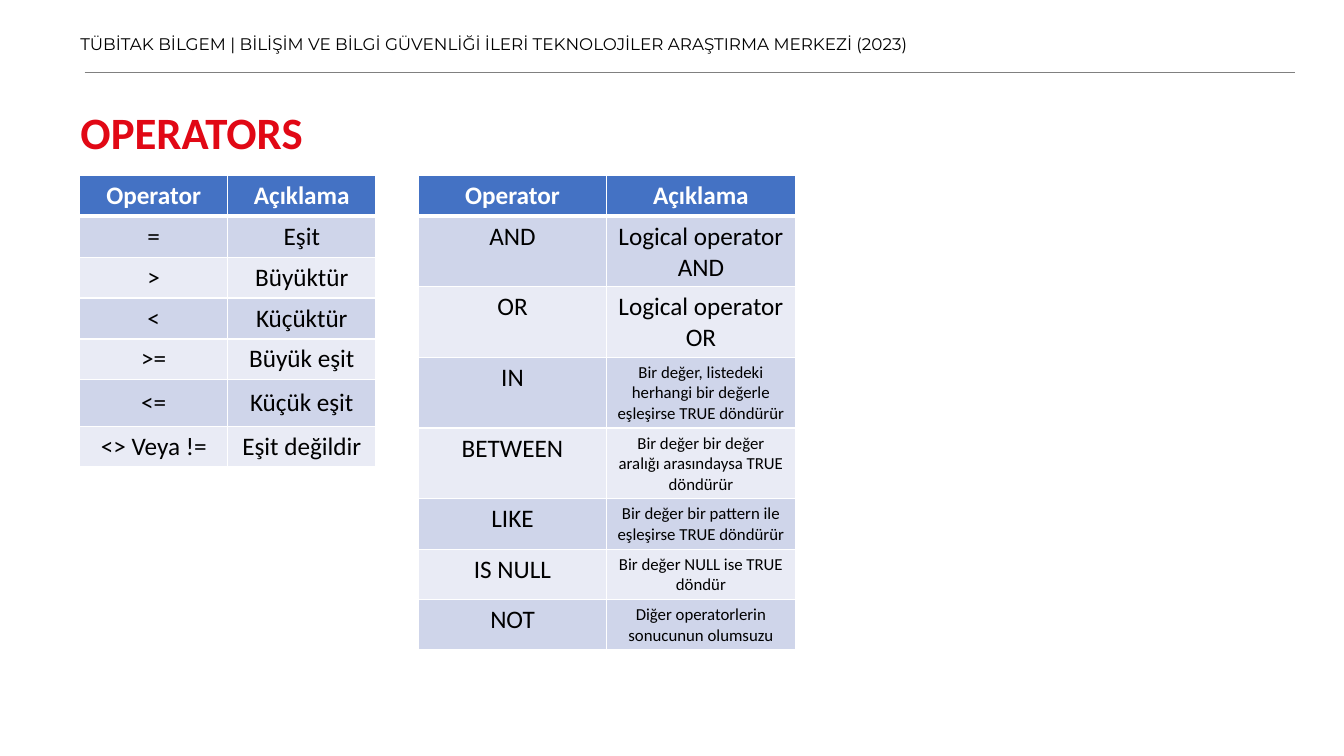
from lxml.etree import SubElement
from pptx import Presentation
from pptx.dml.color import RGBColor
from pptx.enum.shapes import MSO_CONNECTOR
from pptx.enum.text import MSO_AUTO_SIZE, PP_ALIGN
from pptx.oxml.ns import qn
from pptx.util import Pt

COLORS = {
    "text": "000000", "title": "E10815", "rule": "808080", "white": "FFFFFF",
    "header": "4472C4", "odd row": "CFD5EA", "even row": "E9EBF5",
}
TABLE_TOP = 125.3
ROW_HEIGHT = 29.2

COMPARISON = [
    ("Operator", "Açıklama"),
    ("=", "Eşit"),
    (">", "Büyüktür"),
    ("<", "Küçüktür"),
    (">=", "Büyük eşit"),
    ("<=", "Küçük eşit"),
    ("<> Veya !=", "Eşit değildir"),
]
LOGICAL = [
    ("Operator", "Açıklama"),
    ("AND", "Logical operator AND"),
    ("OR", "Logical operator OR"),
    ("IN", "Bir değer, listedeki herhangi bir değerle eşleşirse TRUE döndürür"),
    ("BETWEEN", "Bir değer bir değer aralığı arasındaysa TRUE döndürür"),
    ("LIKE", "Bir değer bir pattern ile eşleşirse TRUE döndürür"),
    ("IS NULL", "Bir değer NULL ise TRUE döndür"),
    ("NOT", "Diğer operatorlerin sonucunun olumsuzu"),
]


def color(name):
    return RGBColor.from_string(COLORS[name])


def style_text(paragraph, size, color_name, bold=False, face="Calibri"):
    for run in paragraph.runs:
        run.font.name = face
        run.font.size = Pt(size)
        run.font.bold = bold
        run.font.color.rgb = color(color_name)


def add_text(slide, text, left, top, width, height, *style):
    box = slide.shapes.add_textbox(Pt(left), Pt(top), Pt(width), Pt(height))
    frame = box.text_frame
    frame.word_wrap = True
    frame.auto_size = MSO_AUTO_SIZE.SHAPE_TO_FIT_TEXT
    frame.text = text
    style_text(frame.paragraphs[0], *style)


def add_rule(slide, left, right, y):
    rule = slide.shapes.add_connector(
        MSO_CONNECTOR.STRAIGHT, Pt(left), Pt(y), Pt(right), Pt(y))
    rule.line.color.rgb = color("rule")
    rule.line.width = Pt(0.5)
    SubElement(rule._element.spPr, qn("a:effectLst"))


def add_border(cell, side, width):
    border = SubElement(cell._tc.get_or_add_tcPr(), qn(f"a:ln{side}"),
                        w=str(Pt(width)))
    fill = SubElement(border, qn("a:solidFill"))
    SubElement(fill, qn("a:srgbClr"), val=COLORS["white"])


def fill_cell(cell, text, fill_name, size, is_header):
    # Borders precede the fill in the cell properties
    for side in "LRT" if is_header else "LR":
        add_border(cell, side, 1)
    add_border(cell, "B", 3 if is_header else 1)
    cell.fill.solid()
    cell.fill.fore_color.rgb = color(fill_name)
    cell.text = text
    paragraph = cell.text_frame.paragraphs[0]
    paragraph.alignment = PP_ALIGN.CENTER
    style_text(paragraph, size, "white" if is_header else "text", is_header)


def add_operator_table(slide, rows, left, column_width, small_from=None):
    """Descriptions from row small_from onwards use the small size."""
    table = slide.shapes.add_table(
        len(rows), 2, Pt(left), Pt(TABLE_TOP),
        Pt(2 * column_width), Pt(ROW_HEIGHT * len(rows))).table
    for column in table.columns:
        column.width = Pt(column_width)
    for r, row in enumerate(rows):
        fill_name = "header" if r == 0 else "odd row" if r % 2 else "even row"
        for c, text in enumerate(row):
            is_small = c == 1 and small_from is not None and r >= small_from
            fill_cell(table.cell(r, c), text, fill_name,
                      12 if is_small else 18, r == 0)
    return table


def main():
    deck = Presentation()
    deck.slide_width, deck.slide_height = Pt(960), Pt(540)
    slide = deck.slides.add_slide(deck.slide_layouts[6])

    # Page header
    add_rule(slide, 60.5, 925.2, 51.8)
    add_text(slide, "TÜBİTAK BİLGEM | BİLİŞİM VE BİLGİ GÜVENLİĞİ İLERİ "
             "TEKNOLOJİLER ARAŞTIRMA MERKEZİ (2023)",
             50.4, 20.2, 846, 21.8, 12, "text", False, "Montserrat")

    # Title
    add_text(slide, "OPERATORS", 50.4, 71.3, 550, 46, 32, "title", True)

    # Operator tables
    comparison = add_operator_table(slide, COMPARISON, 56.9, 105.8)
    for cell in comparison.rows[5].cells:
        cell.margin_left = cell.margin_right = Pt(5.76)
        cell.margin_top = cell.margin_bottom = Pt(5.76)
    add_operator_table(slide, LOGICAL, 298.8, 134.6, small_from=3)

    deck.save("out.pptx")


if __name__ == "__main__":
    main()
